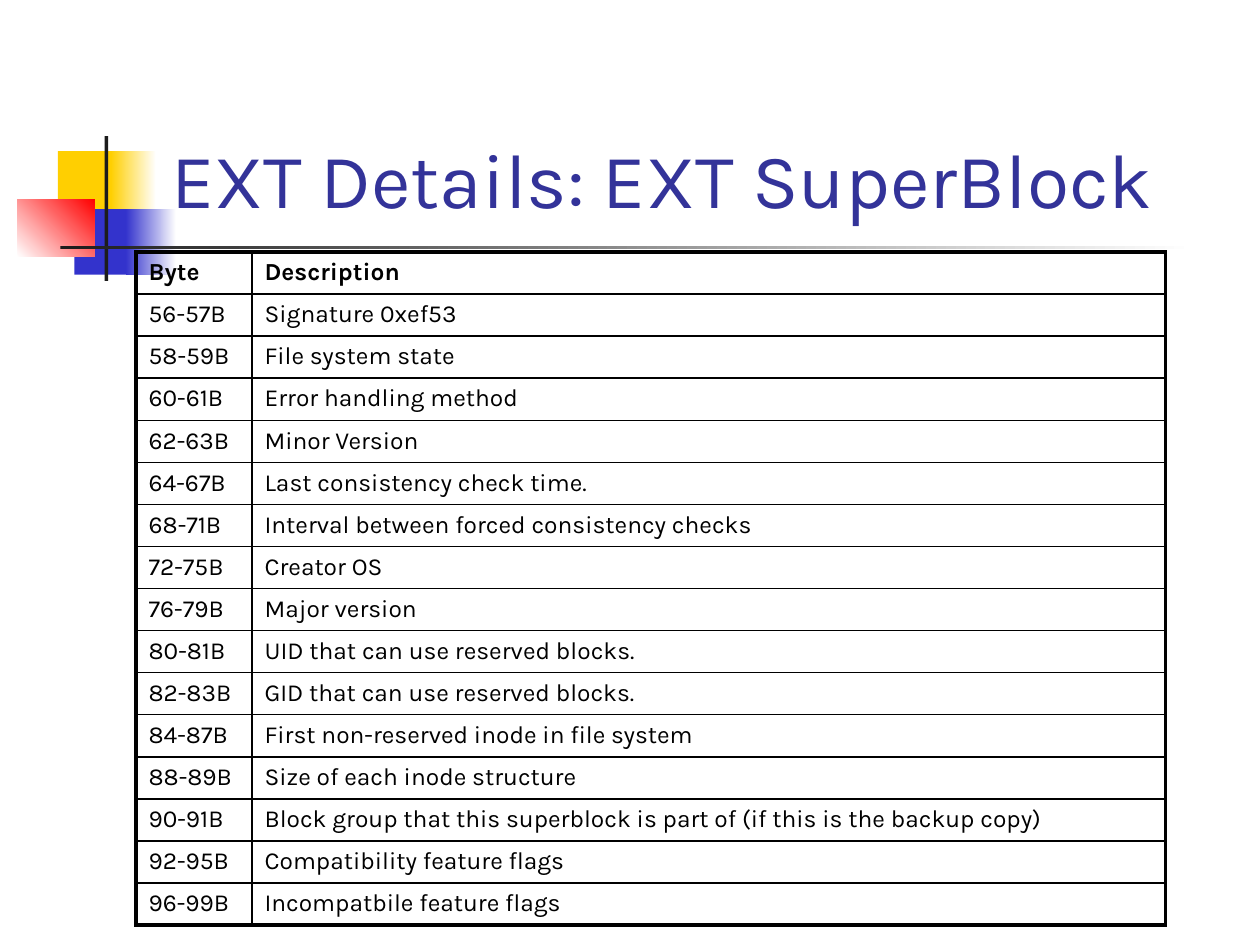
from typing import NamedTuple

from lxml.etree import SubElement
from pptx import Presentation
from pptx.dml.color import RGBColor
from pptx.enum.shapes import MSO_SHAPE
from pptx.enum.text import MSO_ANCHOR
from pptx.oxml.ns import qn
from pptx.util import Inches, Pt

WIDE, HIGH = 10, 7.5
FONT = "Karla"
THIN, THICK = 1, 2.25


class Box(NamedTuple):
    """A place on the slide, as shares of its width and height."""
    x: float
    y: float
    w: float
    h: float


class Block(NamedTuple):
    """A decorative rectangle; a second colour makes a gradient."""
    box: Box
    start: str
    end: str = ""
    angle: int = 0


def share(x: float, y: float, w: float, h: float) -> Box:
    return Box(x / WIDE, y / HIGH, w / WIDE, h / HIGH)


def place(box: Box) -> tuple:
    return (Inches(box.x * WIDE), Inches(box.y * HIGH),
            Inches(box.w * WIDE), Inches(box.h * HIGH))


def tint(code: str) -> RGBColor:
    return RGBColor.from_string(code)


BLOCKS = [
    Block(share(0.46, 1.2, 0.48, 0.52), "FFCF01"),
    Block(share(0.88, 1.2, 0.36, 0.52), "FFCF01", "FFFFFF"),
    Block(share(0.59, 1.66, 0.46, 0.52), "3333CC"),
    Block(share(1, 1.66, 0.4, 0.52), "3333CC", "FFFFFF"),
    Block(share(0.14, 1.58, 0.61, 0.46), "FFFFFF", "FF0000", 45),
    Block(share(0.83, 1.08, 0.03, 1.15), "1C1C1C"),
    Block(share(0.48, 1.95, 9, 0.03), "1C1C1C", "FFFFFF"),
]
TITLE = share(1.26, 0.23, 8.52, 1.6)
GRID = share(1.08, 2, 8.17, 5.24)
COLS = (0.92, 7.25)
ROWS = [
    ("Byte", "Description"),
    ("56-57B", "Signature 0xef53"),
    ("58-59B", "File system state"),
    ("60-61B", "Error handling method"),
    ("62-63B", "Minor Version"),
    ("64-67B", "Last consistency check time."),
    ("68-71B", "Interval between forced consistency checks"),
    ("72-75B", "Creator OS"),
    ("76-79B", "Major version"),
    ("80-81B", "UID that can use reserved blocks."),
    ("82-83B", "GID that can use reserved blocks."),
    ("84-87B", "First non-reserved inode in file system"),
    ("88-89B", "Size of each inode structure"),
    ("90-91B", "Block group that this superblock is part of (if this is the backup copy)"),
    ("92-95B", "Compatibility feature flags"),
    ("96-99B", "Incompatbile feature flags"),
]


def write(frame, text: str, size: float, color: str, bold: bool = False) -> None:
    run = frame.paragraphs[0].add_run()
    run.text = text
    style = {"name": FONT, "size": Pt(size), "bold": bold}
    for key, value in style.items():
        setattr(run.font, key, value)
    run.font.color.rgb = tint(color)


def draw(slide, block: Block) -> None:
    shape = slide.shapes.add_shape(MSO_SHAPE.RECTANGLE, *place(block.box))
    shape.shadow.inherit = False
    shape.line.fill.background()
    if not block.end:
        shape.fill.solid()
        shape.fill.fore_color.rgb = tint(block.start)
        return
    shape.fill.gradient()
    shape.fill.gradient_angle = block.angle
    for stop, code in zip(shape.fill.gradient_stops, (block.start, block.end)):
        stop.color.rgb = tint(code)


def head(slide, text: str) -> None:
    frame = slide.shapes.add_textbox(*place(TITLE)).text_frame
    style = {"word_wrap": True, "vertical_anchor": MSO_ANCHOR.BOTTOM}
    for key, value in style.items():
        setattr(frame, key, value)
    write(frame, text, 44, "333399")


def edge(cell, widths: dict) -> None:
    """Border lines must come before the cell's fill in the XML."""
    props = cell._tc.get_or_add_tcPr()
    for side, width in widths.items():
        line = SubElement(props, qn(f"a:ln{side}"), w=str(int(Pt(width))))
        fill = SubElement(line, qn("a:solidFill"))
        SubElement(fill, qn("a:srgbClr"), val="000000")


def chart(slide) -> None:
    """Table with a thick frame and thin inner lines."""
    table = slide.shapes.add_table(len(ROWS), len(COLS), *place(GRID)).table
    table.horz_banding = False
    for col, width in zip(table.columns, COLS):
        col.width = Inches(width)
    for r, texts in enumerate(ROWS):
        table.rows[r].height = Inches(GRID.h * HIGH / len(ROWS))
        for c, text in enumerate(texts):
            cell = table.cell(r, c)
            outer = {"L": c == 0, "R": c == len(COLS) - 1,
                     "T": r == 0, "B": r == len(ROWS) - 1}
            edge(cell, {side: THICK if out else THIN for side, out in outer.items()})
            cell.fill.background()
            write(cell.text_frame, text, 14, "000000", r == 0)


def main() -> None:
    deck = Presentation()
    deck.slide_width, deck.slide_height = Inches(WIDE), Inches(HIGH)
    slide = deck.slides.add_slide(deck.slide_layouts[6])
    # Corner ornament
    for block in BLOCKS:
        draw(slide, block)
    # Title and table
    head(slide, "EXT Details: EXT SuperBlock")
    chart(slide)
    deck.save("out.pptx")


if __name__ == "__main__":
    main()
